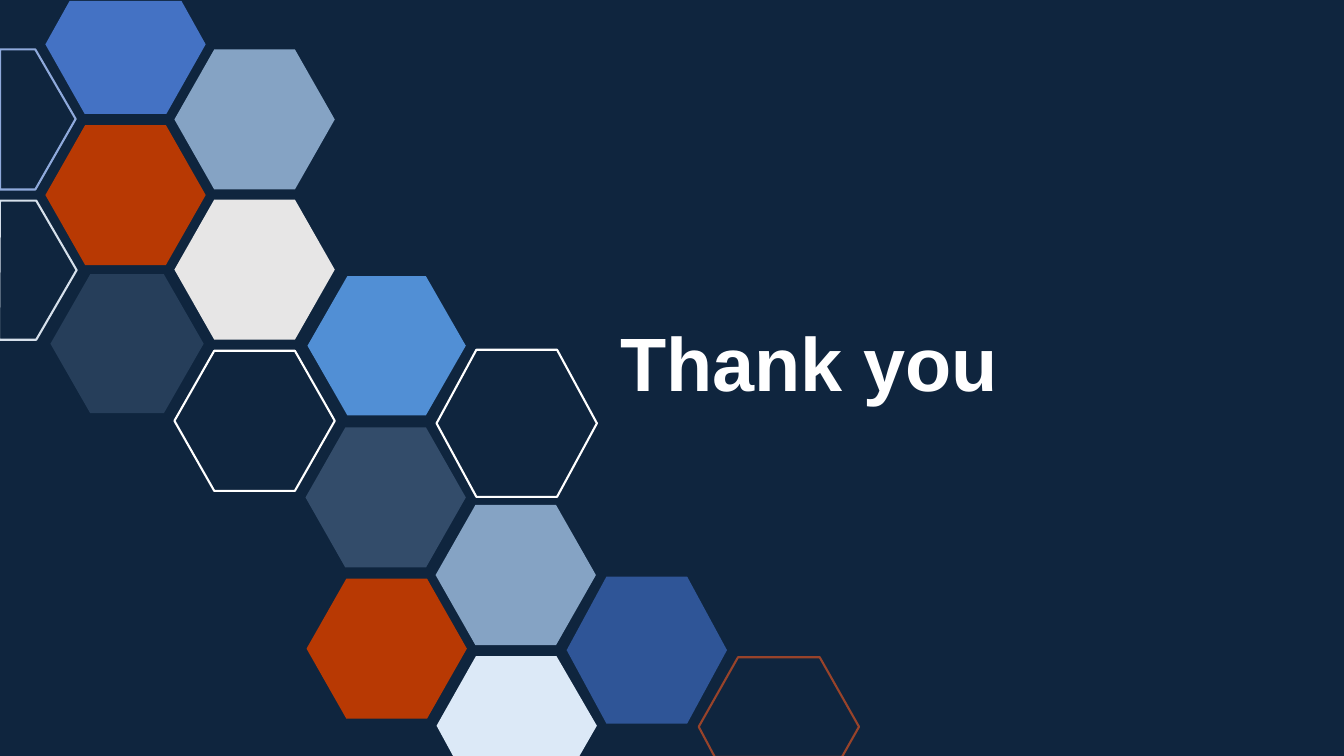
from pptx import Presentation
from pptx.dml.color import RGBColor
from pptx.enum.shapes import MSO_SHAPE as Shape
from pptx.enum.text import MSO_ANCHOR as Anchor, MSO_AUTO_SIZE as AutoSize, PP_ALIGN as Align
from pptx.util import Inches, Pt

COLORS = {
    "navy": "0F253E", "white": "FFFFFF", "blue": "4472C4", "mist": "85A3C4",
    "rust": "B83903", "grey": "E7E6E6", "ice": "DCE9F7", "slate": "334C6A",
    "periwinkle": "8FAADC", "brick": "98432A", "pale": "D6E0EB",
    "dusk": "263E5A", "sky": "518FD5", "royal": "2F5597",
}
CELL_WIDTH, CELL_HEIGHT, CORNER_INSET = 1.59, 1.39, 0.395

# left, top, colour, outlined, width, height
WHOLE_CELLS = [
    (1.73, 0.49, "mist", False, CELL_WIDTH, CELL_HEIGHT),
    (0.45, 1.24, "rust", False, CELL_WIDTH, CELL_HEIGHT),
    (1.73, 1.98, "grey", False, CELL_WIDTH, CELL_HEIGHT),
    (4.32, 5.01, "mist", False, CELL_WIDTH, CELL_HEIGHT),
    (3.04, 5.74, "rust", False, CELL_WIDTH, CELL_HEIGHT),
    (3.03, 4.24, "slate", False, CELL_WIDTH, CELL_HEIGHT),
    (1.73, 3.48, "white", True, CELL_WIDTH, CELL_HEIGHT),
    (0.5, 2.72, "dusk", False, 1.52, 1.38),
    (3.05, 2.74, "sky", False, 1.57, 1.38),
    (5.62, 5.72, "royal", False, CELL_WIDTH, 1.46),
    (4.33, 3.47, "white", True, CELL_WIDTH, 1.46),
]

# colour, outlined, corners of a cell cut off by the slide edge
CUT_CELLS = [
    ("blue", False, [(0.69, 0.01), (1.8, 0.01), (2.04, 0.44),
                     (1.65, 1.13), (0.84, 1.13), (0.45, 0.44)]),
    ("ice", False, [(4.72, 6.51), (5.52, 6.51), (5.92, 7.2),
                    (5.73, 7.53), (4.51, 7.53), (4.33, 7.2)]),
    ("periwinkle", True, [(0, 0.49), (0.35, 0.49), (0.75, 1.18),
                          (0.35, 1.88), (0, 1.88)]),
    ("brick", True, [(6.93, 7.21), (7.32, 6.52), (8.13, 6.52),
                     (8.52, 7.21), (8.35, 7.51), (7.09, 7.51)]),
    ("pale", True, [(0, 1.99), (0.36, 1.99), (0.76, 2.68),
                    (0.36, 3.37), (-0.01, 3.37)]),
]


def rgb(color):
    return RGBColor.from_string(COLORS[color])


def set_all(target, values):
    for attribute, value in values.items():
        setattr(target, attribute, value)


def paint(cell, color, outlined):
    """Give a cell either an outline or a solid fill, never both."""
    cell.shadow.inherit = False
    if outlined:
        cell.fill.background()
        cell.line.color.rgb = rgb(color)
        cell.line.width = Pt(1.5)
    else:
        cell.fill.solid()
        cell.fill.fore_color.rgb = rgb(color)
        cell.line.fill.background()


def add_whole_cell(slide, left, top, color, outlined, width, height):
    cell = slide.shapes.add_shape(
        Shape.HEXAGON, Inches(left), Inches(top), Inches(width), Inches(height))
    cell.adjustments[0] = CORNER_INSET / height
    paint(cell, color, outlined)


def add_cut_cell(slide, color, outlined, corners):
    start, *others = [(Inches(x), Inches(y)) for x, y in corners]
    builder = slide.shapes.build_freeform(*start)
    builder.add_line_segments(others, close=True)
    paint(builder.convert_to_shape(), color, outlined)


def format_title(title, text):
    set_all(title, {"left": Inches(6.05), "top": Inches(3.28),
                    "width": Inches(5.53), "height": Inches(0.82)})
    frame = title.text_frame
    frame.text = text
    set_all(frame, {"vertical_anchor": Anchor.BOTTOM, "word_wrap": True,
                    "auto_size": AutoSize.NONE})
    paragraph = frame.paragraphs[0]
    set_all(paragraph, {"alignment": Align.LEFT, "line_spacing": 0.9})
    font = paragraph.runs[0].font
    set_all(font, {"name": "Arial", "size": Pt(54), "bold": True})
    font.color.rgb = rgb("white")


def main():
    deck = Presentation()
    set_all(deck, {"slide_width": Inches(13.33), "slide_height": Inches(7.5)})
    slide = deck.slides.add_slide(deck.slide_layouts.get_by_name("Title Only"))
    backdrop = slide.background.fill
    backdrop.solid()
    backdrop.fore_color.rgb = rgb("navy")
    for cell in WHOLE_CELLS:
        add_whole_cell(slide, *cell)
    for cell in CUT_CELLS:
        add_cut_cell(slide, *cell)
    format_title(slide.shapes.title, "Thank you")
    deck.save("out.pptx")


if __name__ == "__main__":
    main()
